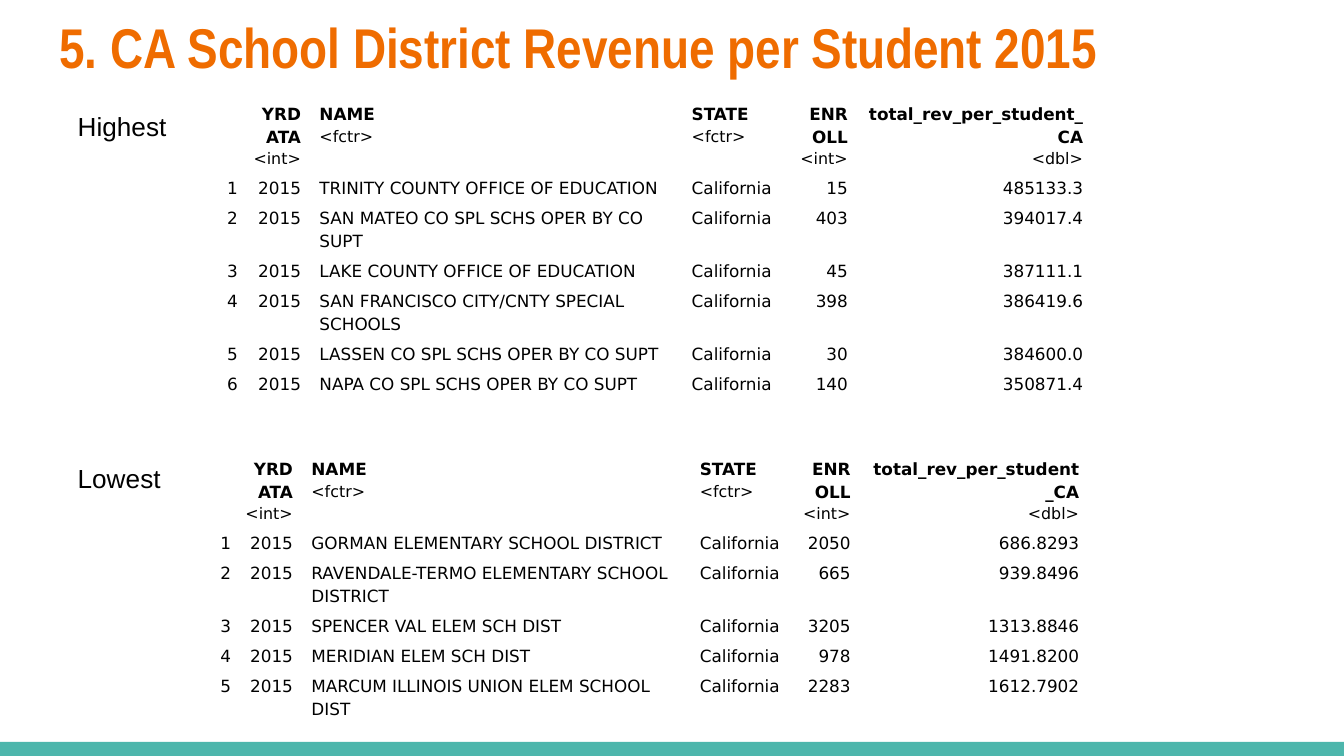
from pptx import Presentation
from pptx.dml.color import RGBColor
from pptx.enum.shapes import MSO_SHAPE
from pptx.enum.text import MSO_ANCHOR, MSO_AUTO_SIZE, PP_ALIGN
from pptx.util import Inches, Pt

ORANGE = RGBColor(0xEF, 0x6C, 0x00)
TEAL = RGBColor(0x4D, 0xB6, 0xAC)
BLACK = RGBColor(0, 0, 0)

LEFT, RIGHT = PP_ALIGN.LEFT, PP_ALIGN.RIGHT
# Name, data type and alignment of each column after the rank
COLUMNS = [
    ("YRDATA", "<int>", RIGHT),
    ("NAME", "<fctr>", LEFT),
    ("STATE", "<fctr>", LEFT),
    ("ENROLL", "<int>", RIGHT),
    ("total_rev_per_student_CA", "<dbl>", RIGHT),
]
ALIGNMENTS = [LEFT] + [alignment for _, _, alignment in COLUMNS]

# District name, enrollment, revenue per student
HIGHEST = [
    ("TRINITY COUNTY OFFICE OF EDUCATION", "15", "485133.3"),
    ("SAN MATEO CO SPL SCHS OPER BY CO SUPT", "403", "394017.4"),
    ("LAKE COUNTY OFFICE OF EDUCATION", "45", "387111.1"),
    ("SAN FRANCISCO CITY/CNTY SPECIAL SCHOOLS", "398", "386419.6"),
    ("LASSEN CO SPL SCHS OPER BY CO SUPT", "30", "384600.0"),
    ("NAPA CO SPL SCHS OPER BY CO SUPT", "140", "350871.4"),
]
LOWEST = [
    ("GORMAN ELEMENTARY SCHOOL DISTRICT", "2050", "686.8293"),
    ("RAVENDALE-TERMO ELEMENTARY SCHOOL DISTRICT", "665", "939.8496"),
    ("SPENCER VAL ELEM SCH DIST", "3205", "1313.8846"),
    ("MERIDIAN ELEM SCH DIST", "978", "1491.8200"),
    ("MARCUM ILLINOIS UNION ELEM SCHOOL DIST", "2283", "1612.7902"),
]


def write(paragraph, text, size=9, font="DejaVu Sans", color=BLACK, bold=False,
          alignment=LEFT, line_spacing=None):
    paragraph.alignment = alignment
    if line_spacing:
        paragraph.line_spacing = line_spacing
    run = paragraph.add_run()
    run.text = text
    run.font.size = Pt(size)
    run.font.name = font
    run.font.bold = bold
    run.font.color.rgb = color


def set_insets(target, side, top, bottom):
    target.margin_left = target.margin_right = side
    target.margin_top, target.margin_bottom = top, bottom


class SlideBuilder:
    line_spacing = 1.15
    header_height = 0.33
    row_height = 0.19
    frame_insets = (Inches(0.1),) * 3
    header_insets = (Pt(5), 0, Pt(2))
    cell_insets = (Pt(5), Pt(2), Pt(2))

    def __init__(self, presentation):
        self.slide = presentation.slides.add_slide(presentation.slide_layouts[5])

    def bar(self, left, top, width, height):
        shape = self.slide.shapes.add_shape(
            MSO_SHAPE.RECTANGLE, Inches(left), Inches(top), Inches(width), Inches(height))
        shape.shadow.inherit = False
        shape.fill.solid()
        shape.fill.fore_color.rgb = TEAL
        shape.line.fill.background()

    def title(self, text, left, top, width, height):
        title = self.slide.shapes.title
        title.left, title.top = Inches(left), Inches(top)
        title.width, title.height = Inches(width), Inches(height)
        frame = title.text_frame
        frame.auto_size = MSO_AUTO_SIZE.NONE
        frame.vertical_anchor = MSO_ANCHOR.TOP
        set_insets(frame, *self.frame_insets)
        write(frame.paragraphs[0], text, size=30, font="Arial Narrow", color=ORANGE, bold=True)

    def label(self, text, left, top):
        box = self.slide.shapes.add_textbox(
            Inches(left), Inches(top), Inches(1.14), Inches(0.59))
        frame = box.text_frame
        frame.word_wrap = True
        set_insets(frame, *self.frame_insets)
        write(frame.paragraphs[0], text, size=14, font="Arial")

    def cell(self, cell, text, alignment, subtitle=None):
        """Fill one cell; a subtitle makes it a header cell with a type line."""
        frame = cell.text_frame
        style = {"alignment": alignment, "line_spacing": self.line_spacing}
        write(frame.paragraphs[0], text, bold=bool(subtitle), **style)
        if subtitle:
            write(frame.add_paragraph(), subtitle, size=8.5, **style)

    def district_table(self, districts, left, top, widths, last_height=row_height):
        heights = [self.header_height] + [self.row_height] * (len(districts) - 1) + [last_height]
        table = self.slide.shapes.add_table(
            len(heights), len(widths), Inches(left), Inches(top),
            Inches(sum(widths)), Inches(sum(heights))).table
        table.first_row = table.horz_banding = False
        for column, width in zip(table.columns, widths):
            column.width = Inches(width)
        for index, (row, height) in enumerate(zip(table.rows, heights)):
            row.height = Inches(height)
            for cell in row.cells:
                cell.fill.background()
                set_insets(cell, *(self.cell_insets if index else self.header_insets))

        for index, (name, data_type, alignment) in enumerate(COLUMNS, start=1):
            self.cell(table.cell(0, index), name, alignment, subtitle=data_type)
        for rank, (name, enrollment, revenue) in enumerate(districts, start=1):
            values = (str(rank), "2015", name, "California", enrollment, revenue)
            for index, (value, alignment) in enumerate(zip(values, ALIGNMENTS)):
                self.cell(table.cell(rank, index), value, alignment)


def main():
    presentation = Presentation()
    presentation.slide_width = Inches(10)
    presentation.slide_height = presentation.slide_width * 9 // 16
    builder = SlideBuilder(presentation)
    builder.bar(0, 5.52, 10, 0.11)
    builder.title("5. CA School District Revenue per Student 2015", 0.34, -0.01, 9.32, 0.77)
    builder.district_table(HIGHEST, 1.62, 0.76, [0.17, 0.51, 2.77, 0.79, 0.51, 1.75])
    builder.district_table(LOWEST, 1.57, 3.4, [0.16, 0.5, 2.89, 0.76, 0.5, 1.7],
                           last_height=0.35)
    builder.label("Highest", 0.48, 0.72)
    builder.label("Lowest", 0.48, 3.34)
    presentation.save("out.pptx")


if __name__ == "__main__":
    main()
